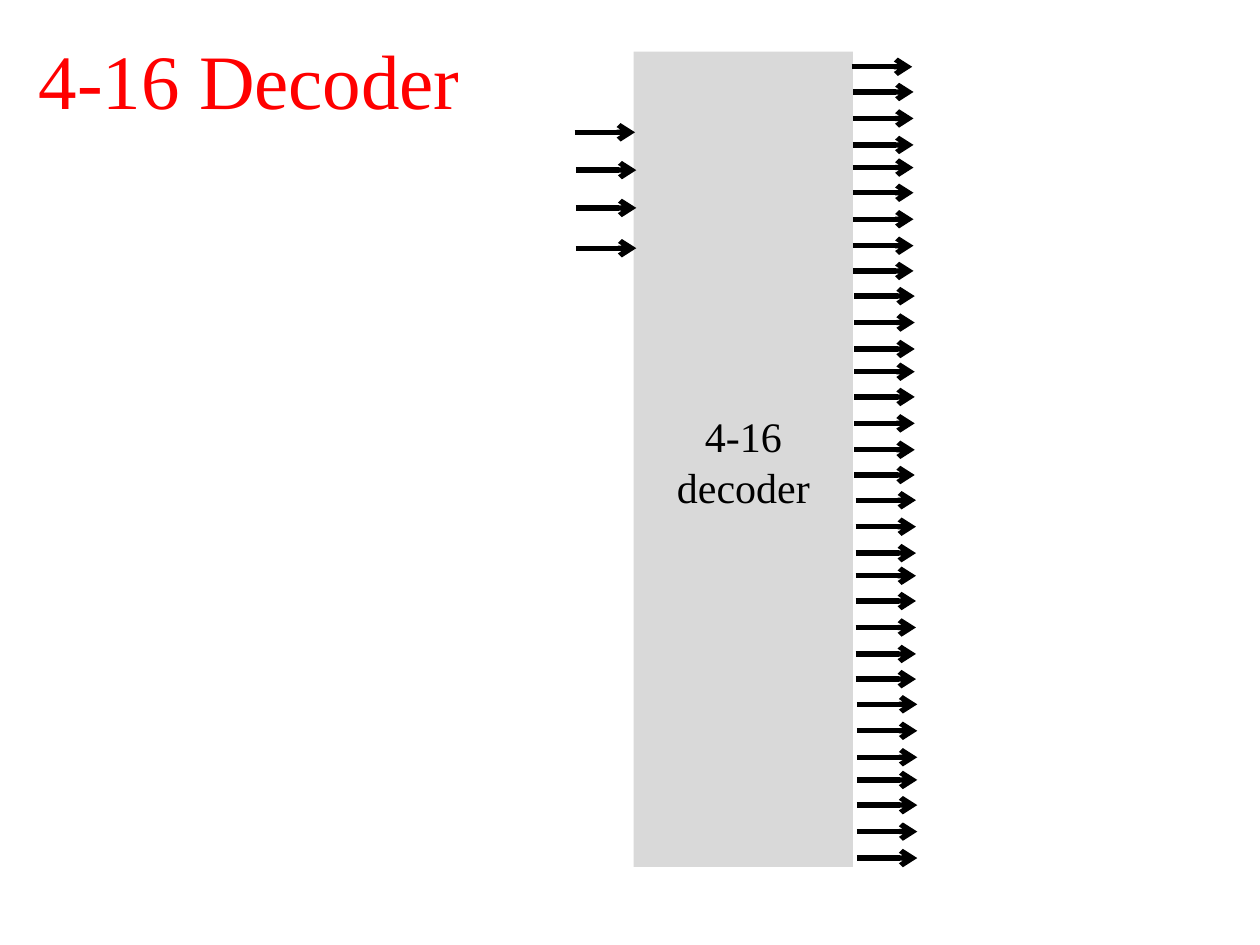
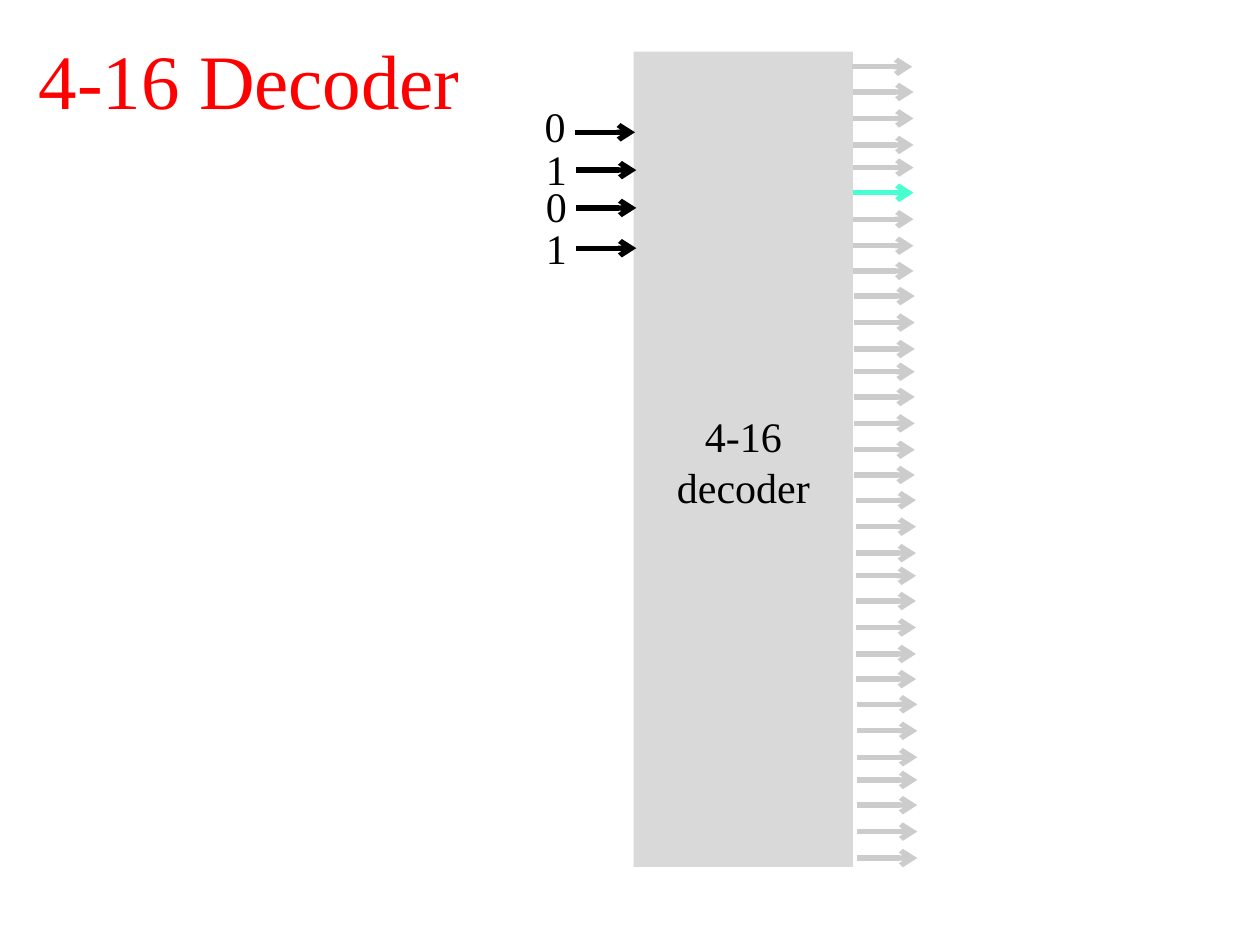
import math

from lxml import etree
from pptx import Presentation
from pptx import util as u
from pptx.dml.color import RGBColor
from pptx.enum import shapes, text
from pptx.oxml.ns import qn

# Colours and type
RED = RGBColor(0xFF, 0x00, 0x00)
BLACK = RGBColor(0x00, 0x00, 0x00)
BLOCK_GREY = RGBColor(0xD9, 0xD9, 0xD9)
IDLE_GREY = RGBColor(0xCC, 0xCC, 0xCC)
ACTIVE_TEAL = RGBColor(0x47, 0xFF, 0xD1)
FONT = "Times New Roman"
TITLE_SIZE, BODY_SIZE = 44, 24
LINE_FACTOR = 1.2
ARROW_LENGTH, ARROW_WEIGHT = 0.48, 3

# Decoder pins: inputs by place, outputs in groups of eight
INPUT_PINS = [(4.56, 1.05), (4.57, 1.35), (4.57, 1.65), (4.57, 1.97)]
GROUP_OFFSETS = [0, 0.2, 0.41, 0.62, 0.8, 1, 1.21, 1.42]
GROUP_PITCH = 1.62
OUTPUT_COUNT = 32
INPUT_BITS = [("0", 4.22, 0.75), ("1", 4.23, 1.09), ("0", 4.23, 1.38), ("1", 4.23, 1.72)]
ACTIVE_OUTPUT = int("".join(bit for bit, _, _ in INPUT_BITS), 2)


class DecoderDeck:
    def __init__(self):
        self.deck = Presentation()
        self.deck.slide_width = u.Inches(10)
        self.deck.slide_height = u.Inches(7.5)
        self.page = None

    def add_page(self):
        self.page = self.deck.slides.add_slide(self.deck.slide_layouts[6])

    def add_words(self, box, words, size, colour):
        para = box.text_frame.paragraphs[0]
        para.alignment = text.PP_ALIGN.CENTER
        para.line_spacing = u.Pt(size * LINE_FACTOR)
        span = para.add_run()
        span.text = words
        span.font.name = FONT
        span.font.size = u.Pt(size)
        span.font.color.rgb = colour

    def label(self, words, left, top, width, height, size=BODY_SIZE, colour=BLACK):
        box = self.page.shapes.add_textbox(*map(u.Inches, (left, top, width, height)))
        box.text_frame.word_wrap = False
        box.text_frame.vertical_anchor = text.MSO_ANCHOR.MIDDLE
        self.add_words(box, words, size, colour)

    def block(self, words, left, top, width, height, text_drop):
        box = self.page.shapes.add_shape(
            shapes.MSO_SHAPE.RECTANGLE, *map(u.Inches, (left, top, width, height)))
        box.shadow.inherit = False
        box.fill.solid()
        box.fill.fore_color.rgb = BLOCK_GREY
        box.line.fill.background()
        frame = box.text_frame
        frame.word_wrap = True
        frame.vertical_anchor = text.MSO_ANCHOR.TOP
        frame.margin_top = u.Inches(text_drop)
        self.add_words(box, words, BODY_SIZE, BLACK)

    def arrow(self, left, top, colour):
        line = self.page.shapes.add_connector(
            shapes.MSO_CONNECTOR.STRAIGHT,
            *map(u.Inches, (left, top, left + ARROW_LENGTH, top)))
        line.line.color.rgb = colour
        line.line.width = u.Pt(ARROW_WEIGHT)
        properties = line.element.spPr
        etree.SubElement(properties.find(qn("a:ln")), qn("a:tailEnd"), type="arrow")
        etree.SubElement(properties, qn("a:effectLst"))

    def decoder(self, output_colours):
        self.label("4-16 Decoder", 0, 0, 3.96, 1.25, TITLE_SIZE, RED)
        self.block("4-16 decoder", 5.03, 0.41, 1.74, 6.47, text_drop=2.85)
        for left, top in INPUT_PINS:
            self.arrow(left, top, BLACK)
        for index, colour in enumerate(output_colours):
            group, row = divmod(index, len(GROUP_OFFSETS))
            # Each group of outputs steps slightly to the right
            left = 6.76 + 0.01 * math.ceil(index / len(GROUP_OFFSETS))
            top = 0.53 + group * GROUP_PITCH + GROUP_OFFSETS[row]
            self.arrow(left, top, colour)


def main():
    slides = DecoderDeck()

    # Slide 1: the bare decoder
    slides.add_page()
    slides.decoder([BLACK] * OUTPUT_COUNT)

    # Slide 2: input 0101 selects one output
    slides.add_page()
    slides.decoder([ACTIVE_TEAL if index == ACTIVE_OUTPUT else IDLE_GREY
                    for index in range(OUTPUT_COUNT)])
    for bit, left, top in INPUT_BITS:
        slides.label(bit, left, top, 0.37, 0.5)

    slides.deck.save("out.pptx")


if __name__ == "__main__":
    main()
